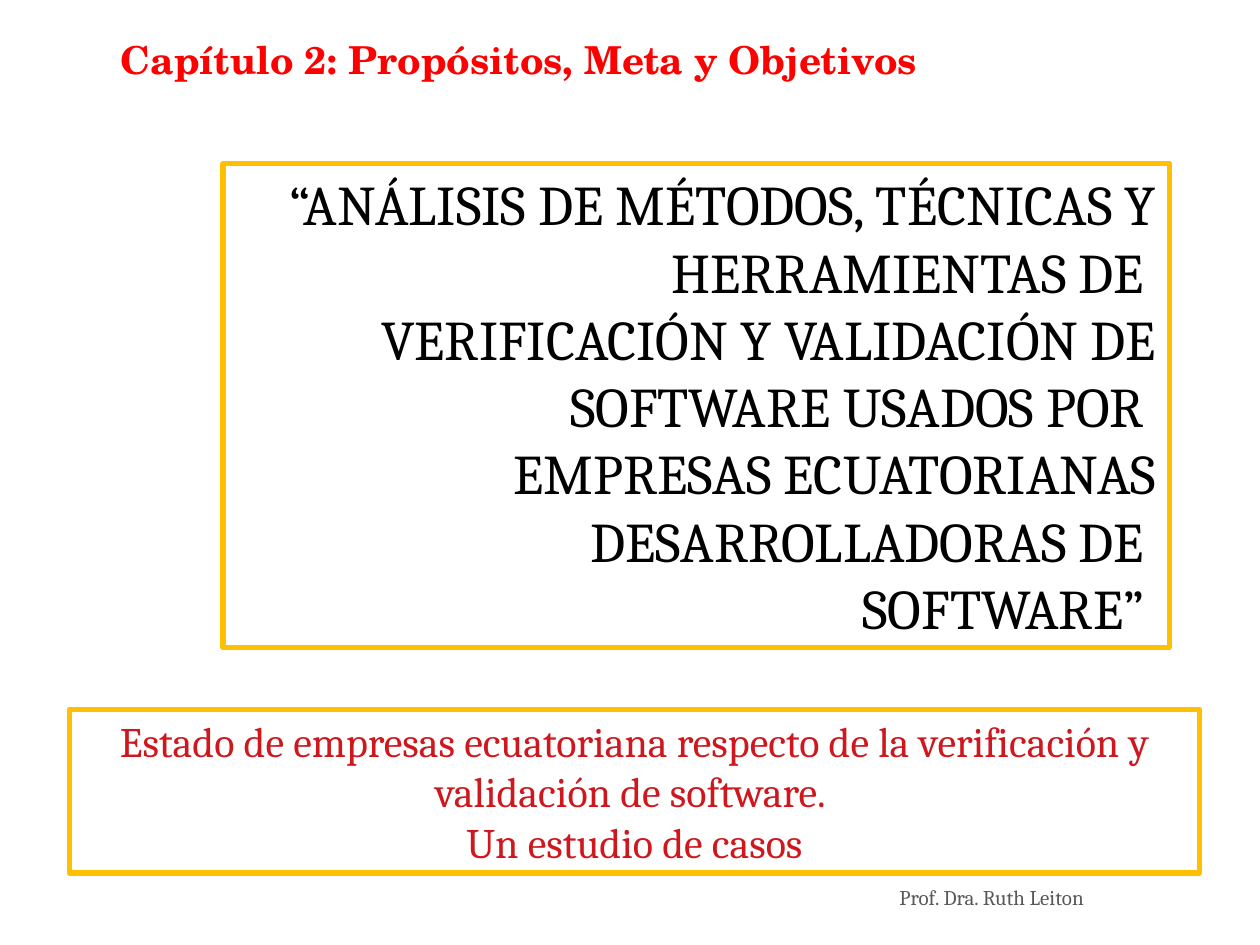
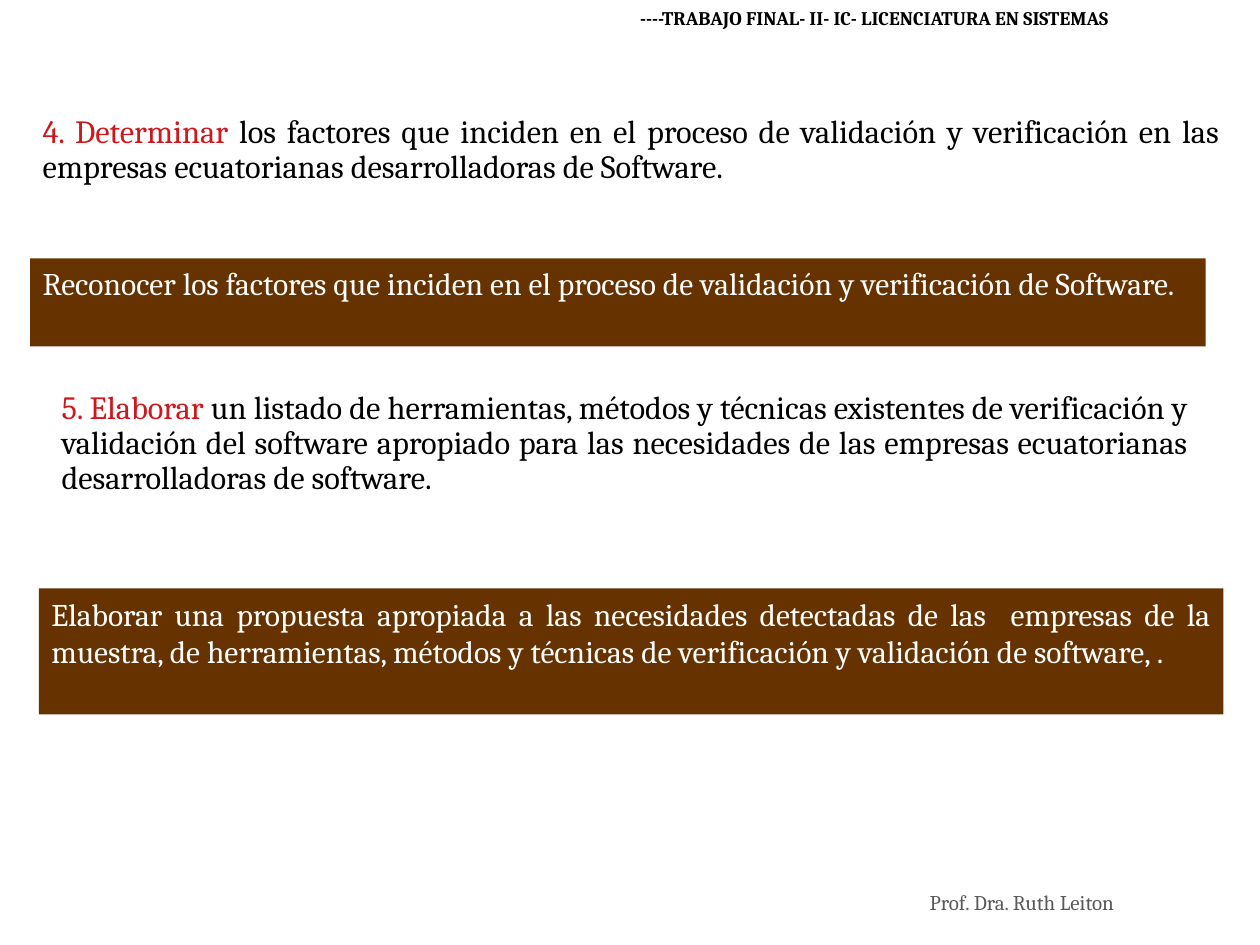
from pptx import Presentation
from pptx.dml.color import RGBColor as RGB
from pptx.enum.shapes import MSO_SHAPE as Shape
from pptx.enum.text import MSO_ANCHOR as Anchor, PP_ALIGN as Align
from pptx.util import Inches, Pt

BLACK = RGB(0x00, 0x00, 0x00)
WHITE = RGB(0xFF, 0xFF, 0xFF)
GRAY = RGB(0x59, 0x59, 0x59)
RED = RGB(0xFF, 0x00, 0x00)
CRIMSON = RGB(0xCE, 0x18, 0x1E)
GOLD = RGB(0xFF, 0xC0, 0x00)
BROWN = RGB(0x66, 0x33, 0x00)

BODY = "Cambria"
HEAD = "TeX Gyre Schola"


class Deck:
    """Holds the style and the current slide."""

    def __init__(self):
        self.prs = Presentation()
        self.prs.slide_width = Inches(10)
        self.prs.slide_height = Inches(7.5)
        self.slide = None

    def page(self):
        self.slide = self.prs.slides.add_slide(self.prs.slide_layouts[6])

    def put(self, shape, paras, size, align=Align.LEFT, lead=1.0,
            font=BODY, bold=False):
        """Fill a shape; each paragraph is a list of (text, colour) runs."""
        frame = shape.text_frame
        frame.word_wrap = True
        frame.vertical_anchor = Anchor.TOP
        style = {"name": font, "size": Pt(size), "bold": bold}
        for i, runs in enumerate(paras):
            para = frame.add_paragraph() if i else frame.paragraphs[0]
            para.alignment = align
            para.line_spacing = lead
            for text, color in runs:
                run = para.add_run()
                run.text = text
                for key, value in style.items():
                    setattr(run.font, key, value)
                run.font.color.rgb = color

    def text(self, box, paras, size, **style):
        shape = self.slide.shapes.add_textbox(*map(Inches, box))
        self.put(shape, paras, size, **style)

    def rect(self, box):
        shape = self.slide.shapes.add_shape(Shape.RECTANGLE, *map(Inches, box))
        shape.shadow.inherit = False
        return shape

    def frame(self, box, lines, size, color, align):
        """Outlined box with a gold border."""
        shape = self.rect(box)
        shape.fill.background()
        shape.line.color.rgb = GOLD
        shape.line.width = Pt(3)
        self.put(shape, [[(line, color)] for line in lines], size, align=align)

    def band(self, box, line):
        """Brown band with the reworded goal."""
        shape = self.rect(box)
        shape.fill.solid()
        shape.fill.fore_color.rgb = BROWN
        shape.line.fill.background()
        self.put(shape, [[(line, WHITE)]], 18, align=Align.JUSTIFY)

    def goal(self, box, verb, rest):
        """Numbered goal with its verb in red."""
        self.text(box, [[(verb, CRIMSON), (rest, BLACK)]], 18.5,
                  align=Align.JUSTIFY, lead=0.9)

    def footer(self, left, top):
        self.text((left, top, 2.39, 0.3),
                  [[("Prof. Dra. Ruth Leiton", GRAY)]], 12)


def topic(deck):
    deck.page()
    # Thesis title
    deck.frame((1.77, 1.3, 7.51, 3.84), [
        "“ANÁLISIS DE MÉTODOS, TÉCNICAS Y HERRAMIENTAS DE ",
        "VERIFICACIÓN Y VALIDACIÓN DE SOFTWARE USADOS POR ",
        "EMPRESAS ECUATORIANAS DESARROLLADORAS DE ",
        "SOFTWARE” ",
    ], 32, BLACK, Align.RIGHT)
    deck.footer(7.04, 6.97)
    # Chapter heading
    deck.text((0.86, 0.24, 6.85, 0.47),
              [[("Capítulo 2: Propósitos, Meta y Objetivos", RED)]], 22,
              font=HEAD, bold=True)
    # Shorter title
    deck.frame((0.55, 5.63, 8.97, 1.3), [
        "Estado de empresas ecuatoriana respecto de la verificación y "
        "validación de software. ",
        "Un estudio de casos",
    ], 24, CRIMSON, Align.CENTER)


def goals(deck):
    deck.page()
    # Fourth goal and its new wording
    deck.goal((0.24, 0.87, 9.53, 1.1), "4. Determinar",
              " los factores que inciden en el proceso de validación y "
              "verificación en las empresas ecuatorianas desarrolladoras "
              "de Software. ")
    deck.band((0.24, 2.05, 9.33, 0.7),
              "Reconocer los factores que inciden en el proceso de "
              "validación y verificación de Software. ")
    # Fifth goal and its new wording
    deck.goal((0.39, 3.06, 9.13, 1.43), "5. Elaborar ",
              "un listado de herramientas, métodos y técnicas existentes de "
              "verificación y validación del software apropiado para las "
              "necesidades de las empresas ecuatorianas desarrolladoras "
              "de software. ")
    deck.band((0.31, 4.67, 9.4, 1),
              "Elaborar una propuesta apropiada a las necesidades detectadas "
              "de las  empresas de la muestra, de herramientas, métodos y "
              "técnicas de verificación y validación de software, . ")
    # Header and footer
    deck.text((0, 0, 8.9, 0.29),
              [[("----TRABAJO FINAL- II- IC- LICENCIATURA EN SISTEMAS", BLACK)]],
              11, align=Align.RIGHT, bold=True)
    deck.footer(7.28, 7.01)


def main():
    deck = Deck()
    topic(deck)
    goals(deck)
    deck.prs.save("out.pptx")


if __name__ == "__main__":
    main()
